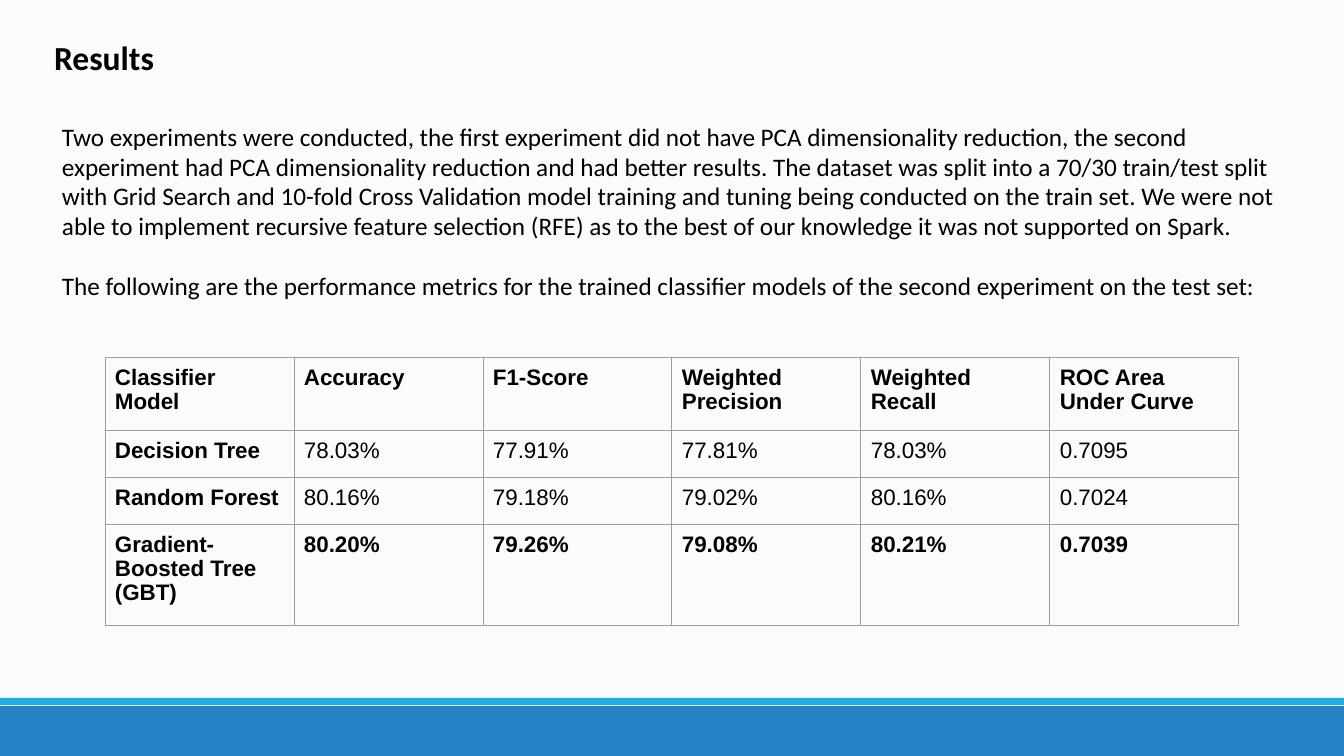
from dataclasses import dataclass

from lxml import etree
from pptx import Presentation, util as u
from pptx.dml.color import RGBColor
from pptx.enum import shapes, text
from pptx.oxml import ns

EMU_PER_PX = 914400 / 100.8


@dataclass(frozen=True)
class Theme:
    background: str = "FBFBFB"
    band: str = "2683C6"
    accent: str = "1CADE4"
    ink: str = "000000"
    grid: str = "9E9E9E"
    text_font: str = "Calibri"
    table_font: str = "Arial"
    title_pt: int = 24
    body_pt: int = 18
    table_pt: int = 16
    grid_pt: float = 0.75


@dataclass(frozen=True)
class Box:
    left: int
    top: int
    width: int
    height: int

    def emu(self) -> tuple:
        return tuple(px(n) for n in (self.left, self.top, self.width, self.height))


@dataclass(frozen=True)
class Bar:
    box: Box
    color: str


@dataclass(frozen=True)
class Row:
    cells: tuple
    height: int
    all_bold: bool = False


THEME = Theme()
SLIDE_W, SLIDE_H = 1344, 756
INSET, TITLE_INSET_Y = 10, 5
COLUMN_W = 189
TABLE_LEFT, TABLE_TOP = 105, 357

BARS = (
    Bar(Box(0, 706, SLIDE_W, 50), THEME.band),
    Bar(Box(0, 698, SLIDE_W, 7), THEME.accent),
)
BODY = (
    "Two experiments were conducted, the first experiment did not have PCA "
    "dimensionality reduction, the second experiment had PCA dimensionality "
    "reduction and had better results. The dataset was split into a 70/30 "
    "train/test split with Grid Search and 10-fold Cross Validation model "
    "training and tuning being conducted on the train set. We were not able to "
    "implement recursive feature selection (RFE) as to the best of our knowledge "
    "it was not supported on Spark.",
    "The following are the performance metrics for the trained classifier models "
    "of the second experiment on the test set:",
)
ROWS = (
    Row(("Classifier Model", "Accuracy", "F1-Score", "Weighted Precision",
         "Weighted Recall", "ROC Area Under Curve"), 73, True),
    Row(("Decision Tree", "78.03%", "77.91%", "77.81%", "78.03%", "0.7095"), 47),
    Row(("Random Forest", "80.16%", "79.18%", "79.02%", "80.16%", "0.7024"), 47),
    Row(("Gradient-Boosted Tree (GBT)", "80.20%", "79.26%", "79.08%", "80.21%",
         "0.7039"), 101, True),
)


def px(n: int) -> u.Emu:
    return u.Emu(round(n * EMU_PER_PX))


def rgb(color: str) -> RGBColor:
    return RGBColor.from_string(color)


def add_run(p, words: str, font: str, size: int, bold: bool = False) -> None:
    r = p.add_run()
    r.text = words
    r.font.name = font
    r.font.size = u.Pt(size)
    r.font.bold = bold
    r.font.color.rgb = rgb(THEME.ink)


def add_bar(s, bar: Bar) -> None:
    sp = s.shapes.add_shape(shapes.MSO_SHAPE.RECTANGLE, *bar.box.emu())
    sp.shadow.inherit = False
    sp.fill.solid()
    sp.fill.fore_color.rgb = rgb(bar.color)
    sp.line.fill.background()


def add_text(s, box: Box, paragraphs: tuple, size: int, inset_y: int,
             bold: bool = False, spacing: float = 1.0) -> None:
    """Add a text box whose paragraphs are one line apart."""
    tf = s.shapes.add_textbox(*box.emu()).text_frame
    tf.word_wrap = True
    tf.vertical_anchor = text.MSO_ANCHOR.TOP
    tf.margin_left = tf.margin_right = px(INSET)
    tf.margin_top = tf.margin_bottom = px(inset_y)
    for i, words in enumerate(paragraphs):
        p = tf.paragraphs[0] if i == 0 else tf.add_paragraph()
        p.line_spacing = spacing
        if i:
            p.space_before = u.Pt(size * 1.2)
        add_run(p, words, THEME.text_font, size, bold)


def add_borders(cell) -> None:
    tc_pr = cell._tc.get_or_add_tcPr()
    for side in ("lnL", "lnR", "lnT", "lnB"):
        ln = etree.SubElement(tc_pr, ns.qn(f"a:{side}"), w=str(u.Pt(THEME.grid_pt)))
        fill = etree.SubElement(ln, ns.qn("a:solidFill"))
        etree.SubElement(fill, ns.qn("a:srgbClr"), val=THEME.grid)


def add_results_table(s) -> None:
    columns = len(ROWS[0].cells)
    box = Box(TABLE_LEFT, TABLE_TOP, columns * COLUMN_W, sum(r.height for r in ROWS))
    table = s.shapes.add_table(len(ROWS), columns, *box.emu()).table
    table.first_row = table.horz_banding = False
    for column in table.columns:
        column.width = px(COLUMN_W)
    for i, row in enumerate(ROWS):
        table.rows[i].height = px(row.height)
        for j, words in enumerate(row.cells):
            cell = table.cell(i, j)
            cell.margin_left = cell.margin_right = px(INSET)
            cell.margin_top = cell.margin_bottom = px(INSET)
            add_borders(cell)
            cell.fill.background()
            p = cell.text_frame.paragraphs[0]
            p.line_spacing = 0.95
            add_run(p, words, THEME.table_font, THEME.table_pt, row.all_bold or j == 0)


def main() -> None:
    prs = Presentation()
    prs.slide_width, prs.slide_height = px(SLIDE_W), px(SLIDE_H)
    s = prs.slides.add_slide(prs.slide_layouts[6])
    s.background.fill.solid()
    s.background.fill.fore_color.rgb = rgb(THEME.background)
    for bar in BARS:
        add_bar(s, bar)
    add_text(s, Box(44, 32, 435, 50), ("Results",), THEME.title_pt, TITLE_INSET_Y, True)
    add_text(s, Box(52, 113, 1260, 555), BODY, THEME.body_pt, INSET, spacing=0.98)
    add_results_table(s)
    prs.save("out.pptx")


if __name__ == "__main__":
    main()
